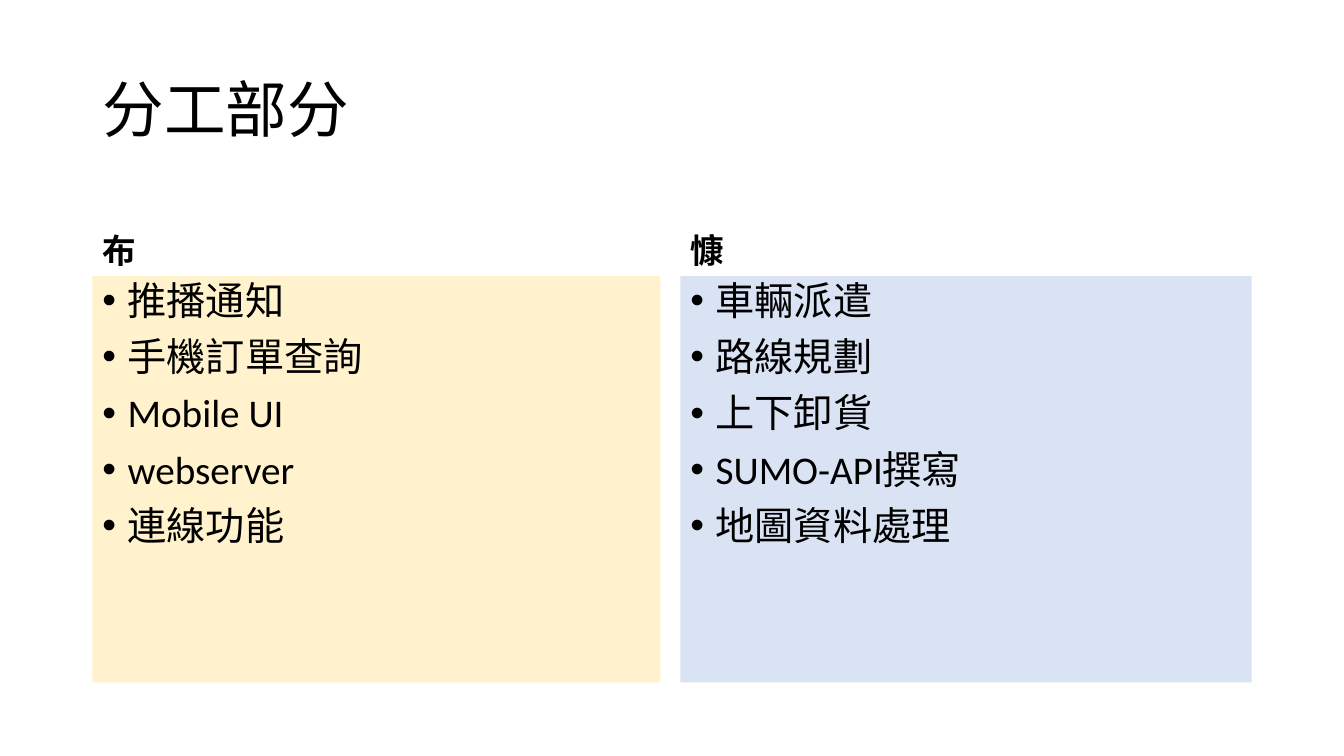
from lxml.etree import SubElement
from pptx import Presentation
from pptx.dml.color import RGBColor
from pptx.enum.text import MSO_ANCHOR, MSO_AUTO_SIZE, PP_ALIGN
from pptx.oxml.ns import qn
from pptx.util import Emu, Pt

PX = 9525
COLORS = {"ink": "000000", "cream": "FFF2CC", "sky": "DAE3F3"}
BULLET_INDENT = 24
HEADING_HEIGHT = 86


def place(placeholder, left, top, width, height):
    placeholder.left, placeholder.top = Emu(left * PX), Emu(top * PX)
    placeholder.width, placeholder.height = Emu(width * PX), Emu(height * PX)


def write(placeholder, lines, size, bold=False, anchor=MSO_ANCHOR.TOP, bullet=None):
    frame = placeholder.text_frame
    frame.word_wrap = True
    frame.auto_size = MSO_AUTO_SIZE.NONE
    frame.vertical_anchor = anchor
    for index, line in enumerate(lines):
        paragraph = frame.add_paragraph() if index else frame.paragraphs[0]
        if bullet:
            properties = paragraph._p.get_or_add_pPr()
            properties.set("marL", str(BULLET_INDENT * PX))
            properties.set("indent", str(-BULLET_INDENT * PX))
            SubElement(properties, qn("a:buFont"), typeface="Arial")
            SubElement(properties, qn("a:buChar"), char=bullet)
        paragraph.alignment = PP_ALIGN.LEFT
        paragraph.line_spacing = 0.9
        paragraph.space_before = Pt(10 if index else 0)
        run = paragraph.add_run()
        run.text = line
        run.font.name = "Calibri"
        run.font.size = Pt(size)
        run.font.bold = bold
        run.font.color.rgb = RGBColor.from_string(COLORS["ink"])


def add_title(title, box, text):
    place(title, *box)
    write(title, [text], size=44, anchor=MSO_ANCHOR.MIDDLE)


def add_member(heading, tasks, box, name, duties, color):
    left, top, width, height = box
    place(heading, left, top, width, HEADING_HEIGHT)
    write(heading, [name], size=24, bold=True, anchor=MSO_ANCHOR.BOTTOM)
    place(tasks, left, top + HEADING_HEIGHT, width, height - HEADING_HEIGHT)
    tasks.fill.solid()
    tasks.fill.fore_color.rgb = RGBColor.from_string(COLORS[color])
    write(tasks, duties, size=28, bullet="•")


def main():
    deck = Presentation()
    deck.slide_width, deck.slide_height = Emu(1280 * PX), Emu(720 * PX)
    slide = deck.slides.add_slide(deck.slide_layouts.get_by_name("Comparison"))
    title, bu_heading, bu_tasks, kang_heading, kang_tasks = slide.placeholders
    add_title(title, (88, 38, 1104, 139), "分工部分")
    add_member(bu_heading, bu_tasks, (88, 177, 541, 473), "布",
               ["推播通知", "手機訂單查詢", "Mobile UI", "webserver", "連線功能"], "cream")
    add_member(kang_heading, kang_tasks, (648, 177, 544, 473), "慷",
               ["車輛派遣", "路線規劃", "上下卸貨", "SUMO-API撰寫", "地圖資料處理"], "sky")
    deck.save("out.pptx")


if __name__ == "__main__":
    main()
